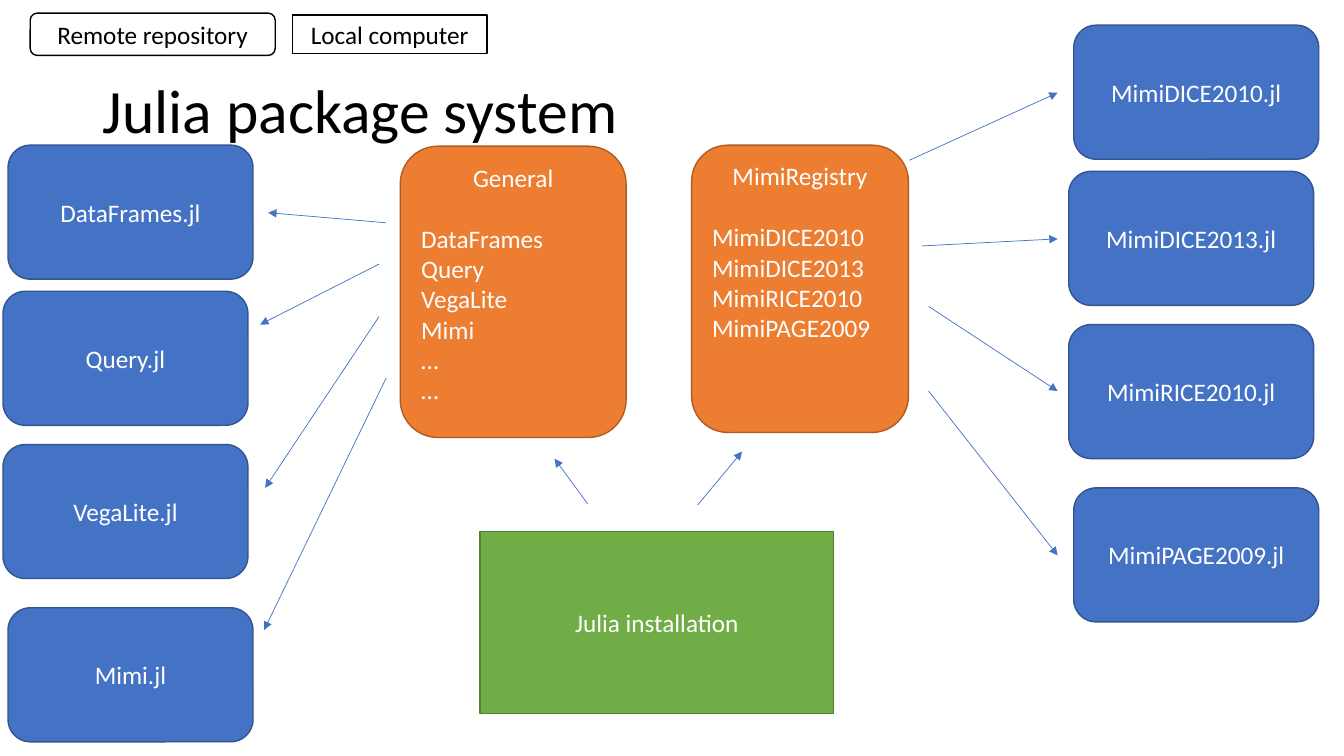
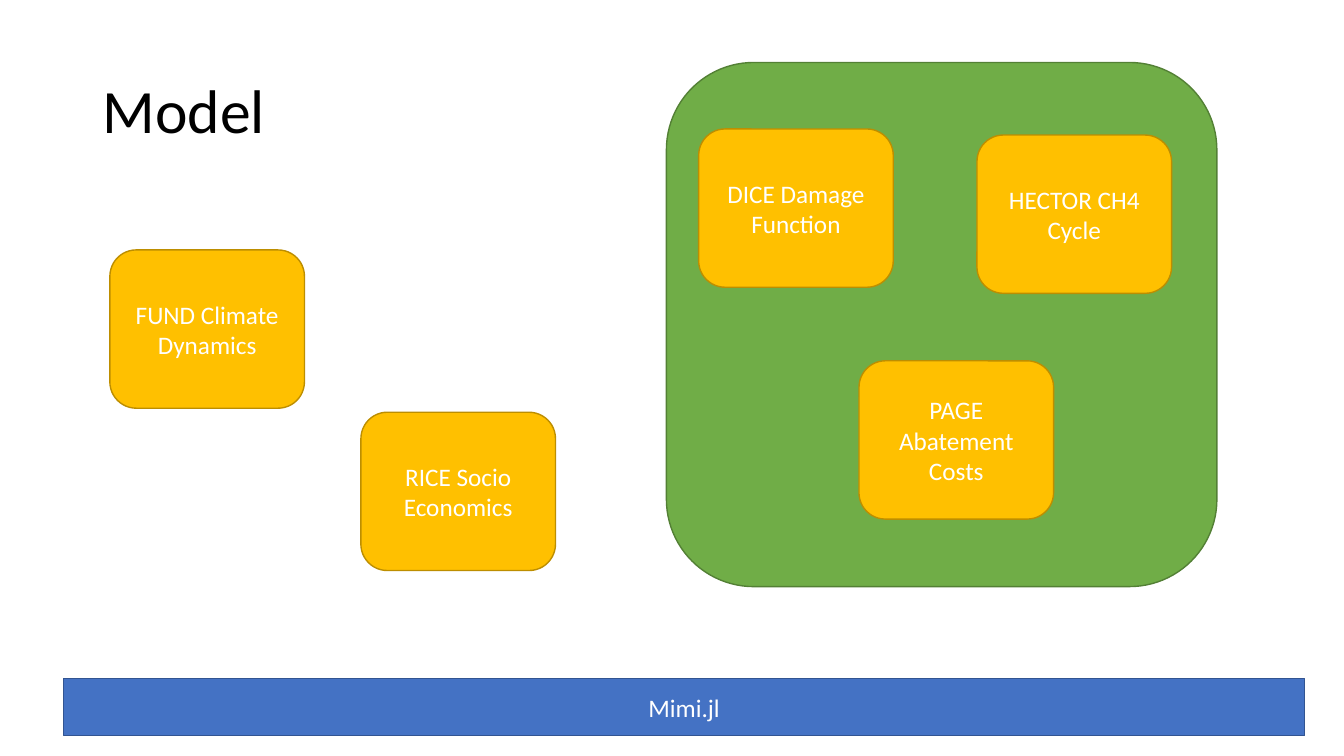
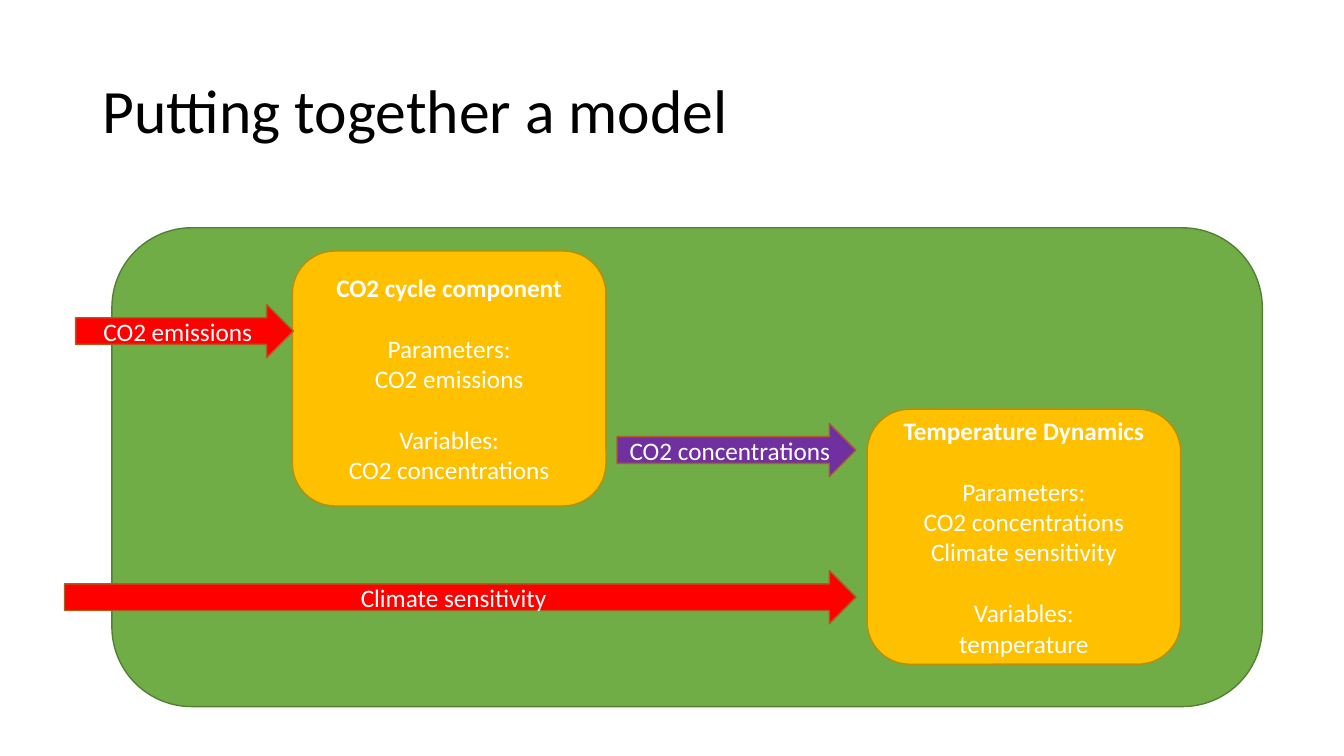
from dataclasses import dataclass

from lxml.etree import SubElement
from pptx import Presentation
from pptx.dml.color import RGBColor
from pptx.enum.shapes import MSO_CONNECTOR, MSO_SHAPE
from pptx.enum.text import MSO_ANCHOR, PP_ALIGN
from pptx.oxml.ns import qn
from pptx.util import Inches, Pt

RECT = MSO_SHAPE.RECTANGLE
ROUND = MSO_SHAPE.ROUNDED_RECTANGLE
ARROW = MSO_SHAPE.RIGHT_ARROW
MID, TOP = MSO_ANCHOR.MIDDLE, MSO_ANCHOR.TOP
MIDDLE, LEFT = PP_ALIGN.CENTER, PP_ALIGN.LEFT


# Colours and type sizes; each paint is a fill and an outline
@dataclass(frozen=True)
class Theme:
    font: str = "Calibri"
    head: int = 44
    body: int = 18
    gap: int = 22
    black: str = "000000"
    white: str = "FFFFFF"
    edge: str = "4472C4"
    blue: tuple = ("4472C4", "325491")
    orange: tuple = ("ED7D31", "AF5C24")
    green: tuple = ("70AD47", "538035")
    gold: tuple = ("FFC000", "BD8E00")
    red: tuple = ("FF0000", "AF5C24")
    purple: tuple = ("7030A0", "AF5C24")
    plain: tuple = ("FFFFFF", "000000")


class Deck:
    def __init__(self, theme):
        self.theme = theme
        self.file = Presentation()
        self.file.slide_width = Inches(13.33)
        self.file.slide_height = Inches(7.5)
        self.slide = None

    def start(self, title):
        """Add a slide with its title."""
        self.slide = self.file.slides.add_slide(self.file.slide_layouts[6])
        box = self.slide.shapes.add_textbox(*map(Inches, (0.92, 0.4, 11.5, 1.45)))
        frame = box.text_frame
        frame.word_wrap = True
        frame.vertical_anchor = MID
        line = frame.paragraphs[0]
        line.line_spacing = 0.9
        self.run(line, title, self.theme.black, size=self.theme.head)

    def run(self, line, text, ink, size=None, bold=False):
        run = line.add_run()
        run.text = text
        style = {"name": self.theme.font, "size": Pt(size or self.theme.body), "bold": bold}
        for key, value in style.items():
            setattr(run.font, key, value)
        run.font.color.rgb = RGBColor.from_string(ink)

    def shape(self, kind, at, paint, groups=(), ink=None, anchor=MID, align=MIDDLE, bold=False):
        """Add a shape; the first group of lines is its heading."""
        shape = self.slide.shapes.add_shape(kind, *map(Inches, at))
        shape.shadow.inherit = False
        fill, edge = map(RGBColor.from_string, paint)
        shape.fill.solid()
        shape.fill.fore_color.rgb = fill
        shape.line.color.rgb = edge
        shape.line.width = Pt(1)
        frame = shape.text_frame
        frame.word_wrap = True
        frame.vertical_anchor = anchor
        line = None
        for part, group in enumerate(groups):
            for row, text in enumerate(group):
                line = frame.add_paragraph() if line else frame.paragraphs[0]
                line.alignment = align if part else MIDDLE
                if part and row == 0:
                    line.space_before = Pt(self.theme.gap)
                self.run(line, text, ink or self.theme.white, bold=bold and part == 0)

    def label(self, kind, at, paint, text, ink=None):
        self.shape(kind, at, paint, [[text]], ink)

    def link(self, start, end):
        """Add a thin line with an arrowhead at its end."""
        line = self.slide.shapes.add_connector(
            MSO_CONNECTOR.STRAIGHT, *map(Inches, (*start, *end)))
        line.line.color.rgb = RGBColor.from_string(self.theme.edge)
        line.line.width = Pt(0.5)
        props = line.element.spPr
        SubElement(props.find(qn("a:ln")), qn("a:tailEnd"), type="triangle")
        SubElement(props, qn("a:effectLst"))


theme = Theme()
deck = Deck(theme)

# Slide 1: registries in the middle, packages on both sides
deck.start("Julia package system")

spots = [(0.08, 1.44), (0.03, 2.89), (0.03, 4.41), (0.08, 6.03)]
sides = [
    (0, 0, ["DataFrames", "Query", "VegaLite", "Mimi"]),
    (10.57, -1.19, ["MimiDICE2010", "MimiDICE2013", "MimiRICE2010", "MimiPAGE2009"]),
]
for right, down, names in sides:
    for (x, y), name in zip(spots, names):
        deck.label(ROUND, (x + right, y + down, 2.43, 1.33), theme.blue, f"{name}.jl")

lists = [
    ("General", (3.97, 1.45, 2.24, 2.89), sides[0][2] + ["…", "…"]),
    ("MimiRegistry", (6.86, 1.44, 2.15, 2.85), sides[1][2]),
]
for name, at, items in lists:
    deck.shape(ROUND, at, theme.orange, [[name], items], anchor=TOP, align=LEFT)

deck.label(RECT, (4.76, 5.27, 3.51, 1.81), theme.green, "Julia installation")

links = [
    # General to its packages
    ((3.83, 2.21), (2.66, 2.11)),
    ((3.76, 2.62), (2.58, 3.22)),
    ((3.76, 3.14), (2.63, 4.84)),
    ((3.83, 3.75), (2.62, 6.25)),
    # MimiRegistry to its packages
    ((9.02, 1.59), (10.49, 0.92)),
    ((9.14, 2.44), (10.49, 2.37)),
    ((9.21, 3.04), (10.49, 3.88)),
    ((9.21, 3.88), (10.49, 5.51)),
    # Installation to the registries
    ((5.83, 5), (5.5, 4.55)),
    ((6.92, 5.01), (7.36, 4.48)),
]
for start, end in links:
    deck.link(start, end)

# Legend
deck.label(ROUND, (0.3, 0.13, 2.43, 0.42), theme.plain, "Remote repository", theme.black)
deck.label(RECT, (2.9, 0.15, 1.93, 0.38), theme.plain, "Local computer", theme.black)

# Slide 2: components inside and outside the model
deck.start("Model")
deck.shape(ROUND, (6.61, 0.62, 5.46, 5.2), theme.green)
deck.label(RECT, (0.63, 6.73, 12.31, 0.57), theme.blue, "Mimi.jl")

blocks = [
    (1.09, 2.48, "FUND Climate Dynamics"),
    (6.93, 1.28, "DICE Damage Function"),
    (8.52, 3.58, "PAGE Abatement Costs"),
    (9.69, 1.34, "HECTOR CH4 Cycle"),
    (3.58, 4.09, "RICE Socio Economics"),
]
for x, y, name in blocks:
    deck.label(ROUND, (x, y, 1.93, 1.57), theme.gold, name)

# Slide 3: two components joined by their inputs and outputs
deck.start("Putting together a model")
deck.shape(ROUND, (1.11, 2.26, 11.41, 4.75), theme.green)

parts = [
    (2.9, 2.49, "CO2 cycle component", ["CO2 emissions"], "CO2 concentrations"),
    (8.6, 4.06, "Temperature Dynamics",
     ["CO2 concentrations", "Climate sensitivity"], "temperature"),
]
for x, y, name, needs, gives in parts:
    groups = [[name], ["Parameters:", *needs], ["Variables:", gives]]
    deck.shape(ROUND, (x, y, 3.11, 2.53), theme.gold, groups, bold=True)

flows = [
    (0.75, 3.02, 2.16, theme.red, "CO2 emissions"),
    (0.64, 5.66, 7.85, theme.red, "Climate sensitivity"),
    (6.12, 4.2, 2.37, theme.purple, "CO2 concentrations"),
]
for x, y, width, paint, name in flows:
    deck.label(ARROW, (x, y, width, 0.53), paint, name)

deck.file.save("out.pptx")
